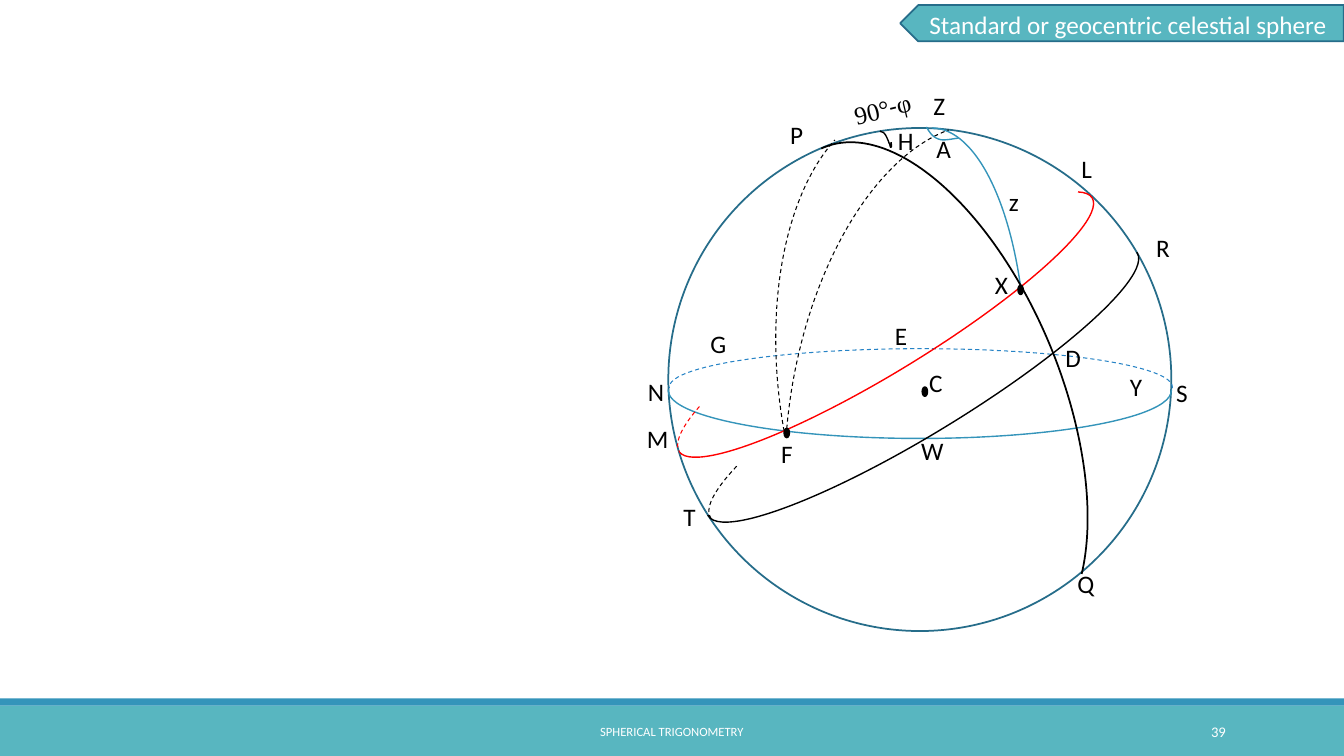
"""Builds the slide on the geocentric celestial sphere."""
from pptx import Presentation
from pptx import util as u
from pptx.dml.color import RGBColor
from pptx.enum import dml, shapes, text

TEAL = RGBColor(0x58, 0xB6, 0xC0)
BLUE = RGBColor(0x34, 0x94, 0xBA)
SKY = RGBColor(0x26, 0x83, 0xC6)
NAVY = RGBColor(0x26, 0x6D, 0x8A)
RED = RGBColor(0xFF, 0, 0)
BLACK = RGBColor(0, 0, 0)
WHITE = RGBColor(0xFF, 0xFF, 0xFF)

CELL = u.Inches(0.1)
COLUMNS, ROWS = 133.33, 75
SANS, SERIF = "Calibri", "Times New Roman"
SHAPE = shapes.MSO_SHAPE
ALIGN = text.PP_ALIGN
ANCHOR = text.MSO_ANCHOR

HALF = (215.85, 108.15)
ARCS = [
    ((66.3, 34, 49.9, 9.5), HALF, 0, BLUE, 1, False, False),
    ((66.4, 34.6, 49.9, 7.6), HALF, 0, SKY, 0.75, True, True),
    ((83.1, 12.7, 18.7, 47.4), (162, 191.83), 0, BLUE, 1, False, False),
    ((78.7, 12.6, 26.5, 53.6), (161.63, 42.72), 337.6, BLACK, 1.25, False, False),
    ((77.4, 10, 32.1, 58.3), (105.58, 153.71), 351, BLACK, 0.75, True, False),
    ((78.3, 12, 32.1, 58.7), (100.09, 156.31), 9, BLACK, 0.75, True, False),
    ((66.6, 33.4, 49.9, 9.5), HALF, 328.5, BLACK, 1, False, False),
    ((66.8, 33.3, 49.9, 10), (102.95, 108.15), 328.5, BLACK, 0.75, True, True),
    ((63.8, 27.6, 48.1, 9.2), (214.16, 107.78), 328.5, RED, 1, False, False),
    ((63.9, 27.5, 47.3, 9.9), (103.18, 108.15), 328.5, RED, 0.75, True, True),
]
LABELS = {
    "Z": (91.6, 8.5), "P": (77.4, 11.3), "D": (104.7, 33.5), "Y": (111.1, 36.3),
    "N": (63.3, 36.8), "M": (63.2, 41.5), "T": (66.8, 49.2), "W": (90.4, 42.7),
    "C": (91.2, 35.9), "E": (87.8, 31.3), "X": (97.7, 26.2), "S": (115.7, 36.9),
    "G": (69.5, 32.1), "H": (88.1, 11.9), "A": (91.9, 12.7), "L": (106.3, 14.7),
    "R": (113.7, 22.6), "F": (76.5, 43), "z": (99.1, 18), "Q": (105.9, 55.9),
}
POINTS = [(77.8, 42.5), (91.5, 38.4), (101, 28.3)]
HOUR_ANGLE = [
    (87.3, 13), (87.4, 13.1), (87.6, 13.1), (87.7, 13.2), (87.9, 13.4),
    (88.1, 13.9), (88.2, 14.2), (88.3, 14.3), (88.3, 14.7), (88.4, 14.6),
    (88.5, 14.5), (88.4, 14.3), (88.4, 14.1),
]
AZIMUTH = [
    (91.9, 12.6), (92.2, 13.1), (92.5, 13.6), (93.1, 13.8),
    (93.6, 14), (94.3, 13.8), (95.1, 13.7),
]


def assign(target, values):
    for name, value in values.items():
        setattr(target, name, value)


def bezier(controls, steps=8):
    points = [controls[0]]
    for first in range(0, len(controls) - 1, 3):
        a, b, c, d = controls[first:first + 4]
        for step in range(1, steps + 1):
            t = step / steps
            weights = ((1 - t) ** 3, 3 * t * (1 - t) ** 2, 3 * t * t * (1 - t), t ** 3)
            points.append(tuple(
                sum(weight * value for weight, value in zip(weights, axis))
                for axis in zip(a, b, c, d)))
    return points


class Board:
    """Draws styled elements on a slide, measured in grid columns and rows."""

    def __init__(self, slide):
        self.slide = slide

    def cells(self, values):
        return [round(value * CELL) for value in values]

    def finish(self, shape, fill=None, line=None, width=1.0, dashed=False):
        shape.shadow.inherit = False
        if fill is None:
            shape.fill.background()
        else:
            shape.fill.solid()
            shape.fill.fore_color.rgb = fill
        if line is None:
            shape.line.fill.background()
        else:
            shape.line.color.rgb = line
            shape.line.width = u.Pt(width)
        if dashed:
            shape.line.dash_style = dml.MSO_LINE.DASH
        return shape

    def shape(self, kind, box, **style):
        shape = self.slide.shapes.add_shape(kind, *self.cells(box))
        return self.finish(shape, **style)

    def arc(self, box, angles, rotation, line, width, dashed, flipped):
        arc = self.shape(SHAPE.ARC, box, line=line, width=width, dashed=dashed)
        arc.adjustments[0], arc.adjustments[1] = angles
        arc.rotation = rotation
        if flipped:
            arc._element.spPr.xfrm.set("flipV", "1")

    def curve(self, controls, **style):
        start, *rest = [self.cells(point) for point in bezier(controls)]
        builder = self.slide.shapes.build_freeform(*start, scale=1.0)
        builder.add_line_segments(rest, close=False)
        self.finish(builder.convert_to_shape(), **style)

    def text(self, box, runs, size=18, color=BLACK, align=ALIGN.LEFT,
             anchor=ANCHOR.TOP, rotation=0):
        shape = self.slide.shapes.add_textbox(*self.cells(box))
        shape.rotation = rotation
        assign(shape.text_frame, {"word_wrap": True, "vertical_anchor": anchor})
        paragraph = shape.text_frame.paragraphs[0]
        paragraph.alignment = align
        for wording, font in runs:
            run = paragraph.add_run()
            run.text = wording
            assign(run.font, {"name": font, "size": u.Pt(size)})
            run.font.color.rgb = color


def main():
    presentation = Presentation()
    assign(presentation, {"slide_width": round(COLUMNS * CELL),
                          "slide_height": ROWS * CELL})
    board = Board(presentation.slides.add_slide(presentation.slide_layouts[6]))

    board.shape(SHAPE.RECTANGLE, (0, 70, COLUMNS, 5), fill=TEAL)
    board.shape(SHAPE.RECTANGLE, (0, 69.3, COLUMNS, 0.7), fill=BLUE)
    board.text((40.3, 70.6, 52.7, 4), [("SPHERICAL TRIGONOMETRY", SANS)], 9, WHITE,
               ALIGN.CENTER, ANCHOR.MIDDLE)
    board.text((108.3, 70.6, 14.3, 4), [("39", SANS)], 10.5, WHITE,
               ALIGN.RIGHT, ANCHOR.MIDDLE)

    banner = board.shape(SHAPE.PENTAGON, (89.3, 0.5, 44, 3.6),
                         fill=TEAL, line=NAVY, width=1.25)
    banner.rotation = 180
    board.text((90.4, 0.4, 43, 4), [("Standard or geocentric celestial sphere", SANS)],
               color=WHITE, align=ALIGN.CENTER)

    board.shape(SHAPE.OVAL, (66.3, 12.7, 49.9, 49.9), line=NAVY, width=1.25)
    for arc in ARCS:
        board.arc(*arc)
    board.curve(HOUR_ANGLE, line=BLACK)
    board.curve(AZIMUTH, line=BLUE)
    for point in POINTS:
        board.shape(SHAPE.OVAL, (*point, 0.5, 0.9), fill=BLACK, line=BLACK, width=1.25)
    for letter, corner in LABELS.items():
        board.text((*corner, 4.2, 4), [(letter, SANS)])
    board.text((83.7, 8.7, 8.3, 4), [("90°", SERIF), ("-", SANS), ("φ", SERIF)],
               rotation=346.1)

    presentation.save("out.pptx")


if __name__ == "__main__":
    main()
